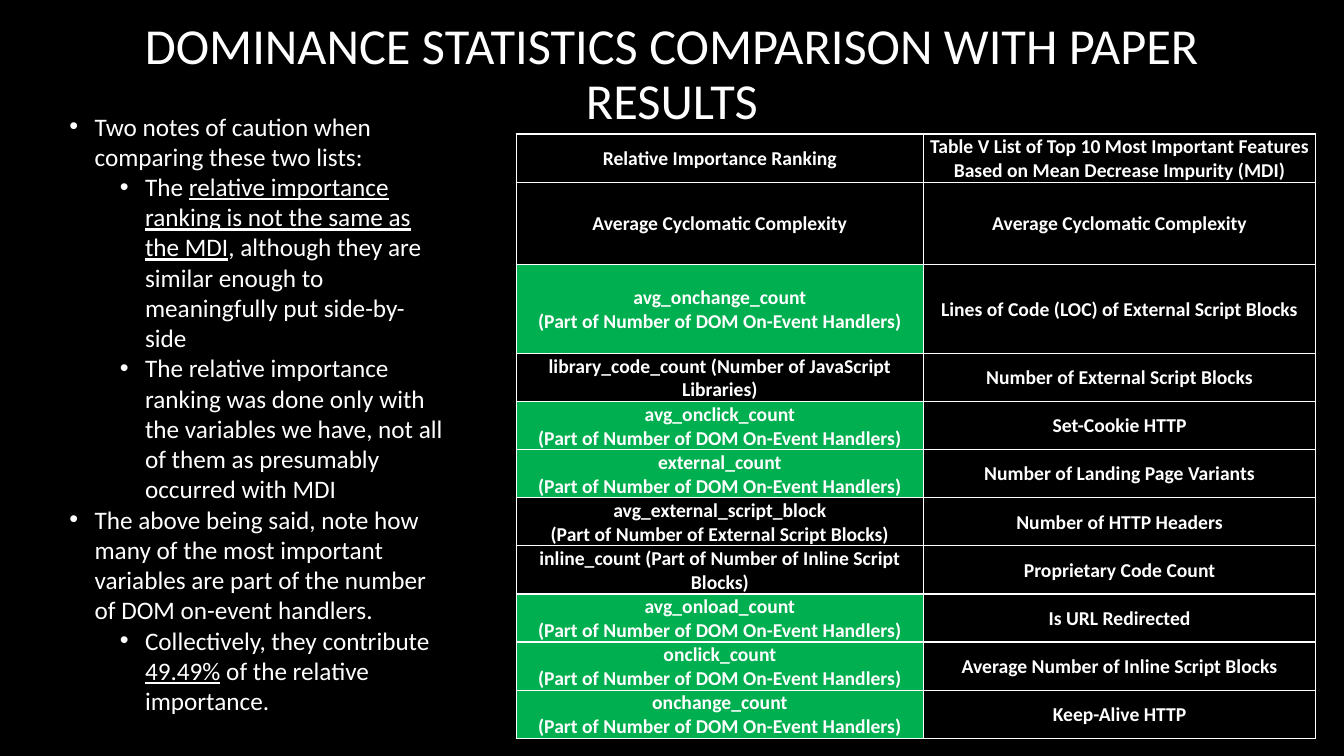
"""Build the slide comparing dominance statistics with the paper's results."""
from lxml import etree
from pptx import Presentation
from pptx.dml.color import RGBColor
from pptx.enum.text import MSO_ANCHOR, MSO_AUTO_SIZE, PP_ALIGN
from pptx.oxml.ns import qn
from pptx.util import Inches, Pt

CENTER = PP_ALIGN.CENTER
MIDDLE = MSO_ANCHOR.MIDDLE
GROW = MSO_AUTO_SIZE.SHAPE_TO_FIT_TEXT
BLACK, WHITE, GREEN = "000000", "FFFFFF", "00B050"

TITLE = "DOMINANCE STATISTICS COMPARISON WITH PAPER RESULTS"
NOTES = [
    (0, "Two notes of caution when comparing these two lists:"),
    (1, "The |relative importance ranking is not the same as the MDI|, although they are "
        "similar enough to meaningfully put side-by-side"),
    (1, "The relative importance ranking was done only with the variables we have, "
        "not all of them as presumably occurred with MDI"),
    (0, "The above being said, note how many of the most important variables are part "
        "of the number of DOM on-event handlers."),
    (1, "Collectively, they contribute |49.49%| of the relative importance."),
]
HANDLERS = "\n(Part of Number of DOM On-Event Handlers)"
RANKINGS = [
    ("Relative Importance Ranking",
     "Table V List of Top 10 Most Important Features\nBased on Mean Decrease Impurity (MDI)"),
    ("Average Cyclomatic Complexity", "Average Cyclomatic Complexity"),
    ("avg_onchange_count" + HANDLERS, "Lines of Code (LOC) of External Script Blocks"),
    ("library_code_count (Number of JavaScript Libraries)", "Number of External Script Blocks"),
    ("avg_onclick_count" + HANDLERS, "Set-Cookie HTTP"),
    ("external_count" + HANDLERS, "Number of Landing Page Variants"),
    ("avg_external_script_block\n(Part of Number of External Script Blocks)",
     "Number of HTTP Headers"),
    ("inline_count (Part of Number of Inline Script Blocks)", "Proprietary Code Count"),
    ("avg_onload_count" + HANDLERS, "Is URL Redirected"),
    ("onclick_count" + HANDLERS, "Average Number of Inline Script Blocks"),
    ("onchange_count" + HANDLERS, "Keep-Alive HTTP"),
]
COLUMN_WIDTHS = [4.04, 3.89]
ROW_HEIGHTS = [0.37, 0.82, 0.88] + [0.37] * 8


def color(value):
    return RGBColor.from_string(value)


class SlideBuilder:
    """Hold the text style and the current slide."""

    def __init__(self, slide, font="Calibri", ink=WHITE, background=BLACK):
        self.slide, self.font, self.ink = slide, font, ink
        fill = slide.background.fill
        fill.solid()
        fill.fore_color.rgb = color(background)

    def format_run(self, run, size, bold=False, underline=False):
        run.font.name = self.font
        run.font.size = Pt(size)
        run.font.color.rgb = color(self.ink)
        run.font.bold = bold
        run.font.underline = underline

    def text_box(self, left, top, width, height):
        shape = self.slide.shapes.add_textbox(
            Inches(left), Inches(top), Inches(width), Inches(height))
        frame = shape.text_frame
        frame.word_wrap = True
        frame.vertical_anchor = MIDDLE
        return frame

    def title(self, text, box, size):
        frame = self.text_box(*box)
        frame.text = text
        paragraph = frame.paragraphs[0]
        paragraph.alignment = CENTER
        paragraph.line_spacing = 0.9
        self.format_run(paragraph.runs[0], size)

    def bullets(self, items, box, size):
        frame = self.text_box(*box)
        frame.auto_size = GROW
        frame.margin_bottom = Inches(0.35)
        frame.text = "\n".join(text.replace("|", "") for _, text in items)
        for paragraph, (level, text) in zip(frame.paragraphs, items):
            paragraph.clear()
            paragraph.level = level
            for index, part in enumerate(text.split("|")):
                run = paragraph.add_run()
                run.text = part
                self.format_run(run, size, underline=index % 2 == 1)
            properties = paragraph._p.get_or_add_pPr()
            properties.set("marL", str(Inches(0.25 + 0.5 * level)))
            properties.set("indent", str(Inches(-0.25)))
            etree.SubElement(properties, qn("a:buFont")).set("typeface", "Arial")
            etree.SubElement(properties, qn("a:buChar")).set("char", "•")

    def cell(self, cell, text, fill, size):
        cell.text_frame.text = text
        cell.vertical_anchor = MIDDLE
        cell.margin_left = cell.margin_right = cell.margin_top = Inches(0.01)
        cell.margin_bottom = 0
        for paragraph in cell.text_frame.paragraphs:
            paragraph.alignment = CENTER
            self.format_run(paragraph.runs[0], size, bold=True)
        properties = cell._tc.get_or_add_tcPr()
        for side in ("a:lnL", "a:lnR", "a:lnT", "a:lnB"):
            line = etree.SubElement(properties, qn(side), w=str(Pt(1)))
            solid = etree.SubElement(line, qn("a:solidFill"))
            etree.SubElement(solid, qn("a:srgbClr"), val=self.ink)
        cell.fill.solid()
        cell.fill.fore_color.rgb = color(fill)

    def table(self, rows, left, top, height, size):
        shape = self.slide.shapes.add_table(
            len(rows), len(COLUMN_WIDTHS), Inches(left), Inches(top),
            Inches(sum(COLUMN_WIDTHS)), Inches(height))
        table = shape.table
        table.horz_banding = False
        for column, width in zip(table.columns, COLUMN_WIDTHS):
            column.width = Inches(width)
        for row, row_height, texts in zip(table.rows, ROW_HEIGHTS, rows):
            row.height = Inches(row_height)
            for cell, text in zip(row.cells, texts):
                self.cell(cell, text, GREEN if HANDLERS in text else BLACK, size)
        shape.height = Inches(height)


def main():
    presentation = Presentation()
    presentation.slide_width = Inches(13.33)
    presentation.slide_height = Inches(7.5)
    builder = SlideBuilder(presentation.slides.add_slide(presentation.slide_layouts[6]))
    builder.title(TITLE, (1.25, -0.06, 10.83, 1.62), 36)
    builder.table(RANKINGS, 5.12, 1.33, 6, 14)
    builder.bullets(NOTES, (0.59, 1.17, 3.92, 6.16), 18)
    presentation.save("out.pptx")


if __name__ == "__main__":
    main()
